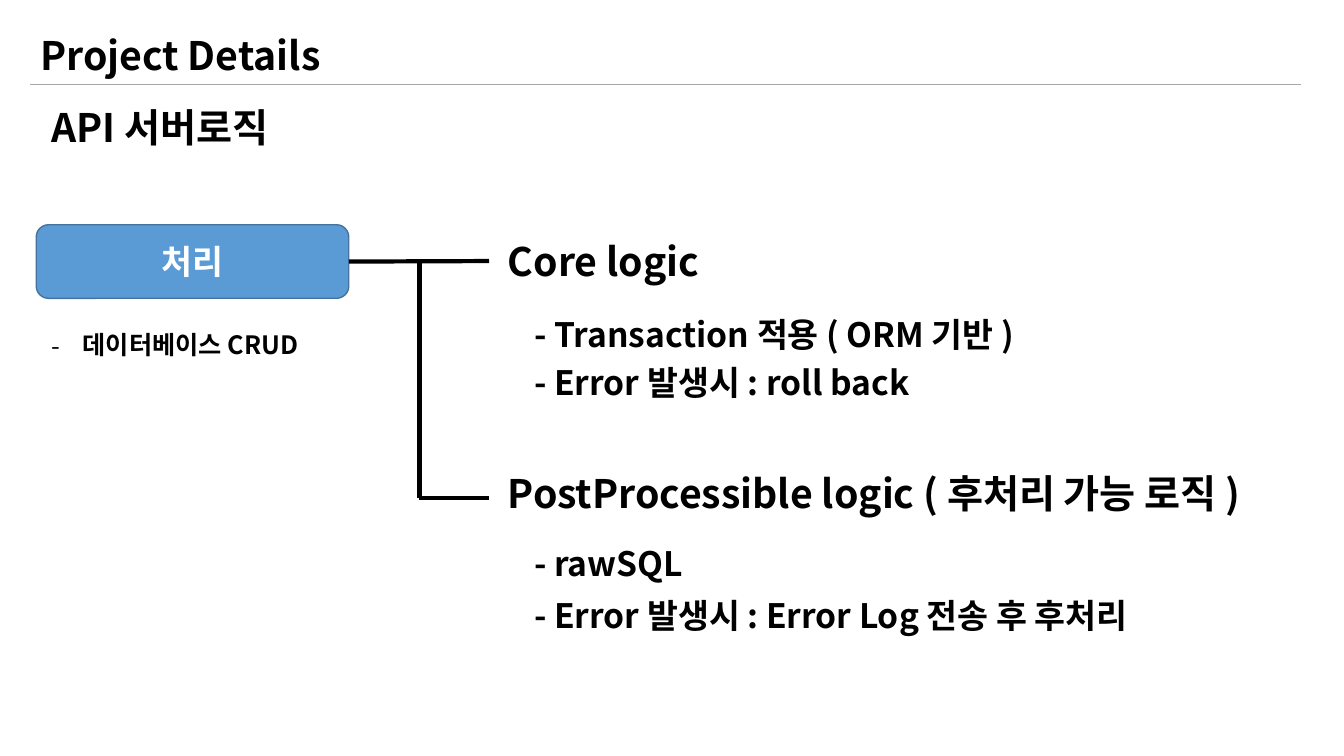
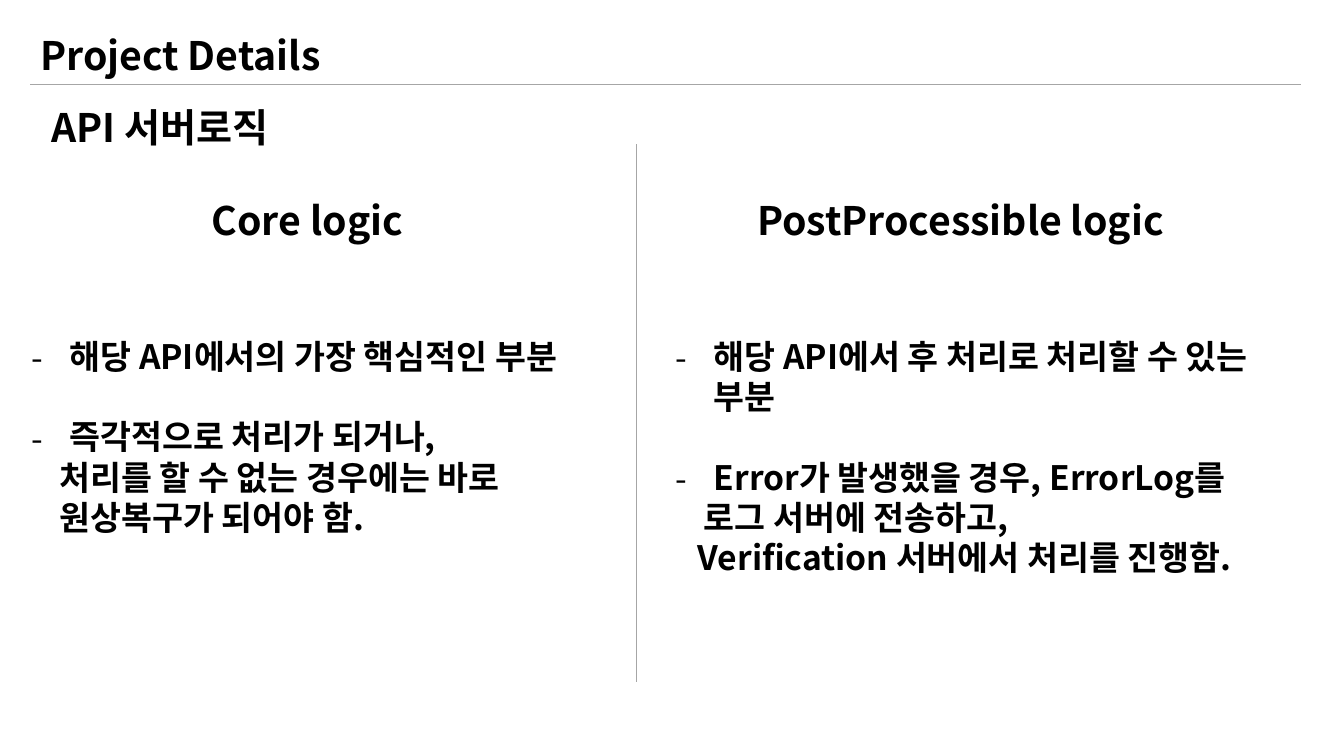
from lxml.etree import SubElement
from pptx import Presentation
from pptx.dml.color import RGBColor
from pptx.enum.shapes import MSO_CONNECTOR as Connector, MSO_SHAPE as Shape
from pptx.enum.text import MSO_ANCHOR as Anchor, MSO_AUTO_SIZE as AutoSize, PP_ALIGN as Align
from pptx.oxml.ns import qn
from pptx.util import Inches, Pt

FONT = "Noto Sans CJK KR"
COLORS = {
    "text": "000000",
    "rule": "A6A6A6",
    "box": "5B9BD5",
    "box_line": "43739E",
    "box_text": "FFFFFF",
}
TITLE_LAYOUT, COMPARISON_LAYOUT = 1, 4
LINE_FACTOR = 1.2


def color(name):
    """Return the named colour."""
    return RGBColor.from_string(COLORS[name])


def place(shape, left, top, width, height):
    """Set position and size of a shape in inches."""
    shape.left, shape.top = Inches(left), Inches(top)
    shape.width, shape.height = Inches(width), Inches(height)


def format_paragraph(paragraph, size, text_color="text", align=Align.LEFT):
    """Give a paragraph the deck's font and line pitch."""
    paragraph.alignment = align
    paragraph.line_spacing = Pt(size * LINE_FACTOR)
    paragraph.space_before = paragraph.space_after = Pt(0)
    for run in paragraph.runs:
        run.font.size = Pt(size)
        run.font.bold = True
        run.font.color.rgb = color(text_color)
        run.font.name = FONT
        SubElement(run.font._element, qn("a:ea"), typeface=FONT)


def set_bullet(paragraph, margin, bulleted):
    """Indent a paragraph and give it a dash or no bullet."""
    properties = paragraph._p.get_or_add_pPr()
    properties.set("marL", str(Inches(margin)))
    properties.set("indent", str(-Inches(margin) if bulleted else 0))
    if bulleted:
        SubElement(properties, qn("a:buFont"), typeface=FONT)
        SubElement(properties, qn("a:buChar"), char="-")
    else:
        SubElement(properties, qn("a:buNone"))


def fill_text(shape, text, size):
    """Write top-anchored plain text into a text box or placeholder."""
    frame = shape.text_frame
    frame.text = text
    frame.word_wrap = True
    frame.auto_size = AutoSize.NONE
    frame.vertical_anchor = Anchor.TOP
    for paragraph in frame.paragraphs:
        format_paragraph(paragraph, size)


def add_label(slide, text, left, top, width, height, size):
    """Add a text box."""
    label = slide.shapes.add_textbox(
        Inches(left), Inches(top), Inches(width), Inches(height))
    fill_text(label, text, size)


def fill_heading(placeholder, text, left, top, width, height):
    """Place a heading without a bullet."""
    place(placeholder, left, top, width, height)
    fill_text(placeholder, text, 28)
    set_bullet(placeholder.text_frame.paragraphs[0], 0, False)


def fill_list(placeholder, items, left, top, width, height, size, margin):
    """Fill a body placeholder with items, each a dashed line and indented follow-ups."""
    place(placeholder, left, top, width, height)
    fill_text(placeholder, "\n".join(line for item in items for line, _ in item), size)
    paragraphs = iter(placeholder.text_frame.paragraphs)
    for item_index, item in enumerate(items):
        for line_index, (_, follow_margin) in enumerate(item):
            paragraph = next(paragraphs)
            first = line_index == 0
            if first and item_index:
                paragraph.space_before = Pt(size * LINE_FACTOR)
            set_bullet(paragraph, margin if first else follow_margin, first)


def add_line(slide, start, end, line_color, width):
    """Add a straight line without a shadow."""
    line = slide.shapes.add_connector(
        Connector.STRAIGHT, *(Inches(value) for value in (*start, *end)))
    line.line.color.rgb = color(line_color)
    line.line.width = Pt(width)
    SubElement(line._element.spPr, qn("a:effectLst"))
    return line


def add_process_box(slide, text, left, top, width, height):
    """Add the blue rounded process box."""
    box = slide.shapes.add_shape(
        Shape.ROUNDED_RECTANGLE, Inches(left), Inches(top), Inches(width), Inches(height))
    box.shadow.inherit = False
    box.fill.solid()
    box.fill.fore_color.rgb = color("box")
    box.line.color.rgb = color("box_line")
    box.line.width = Pt(1)
    box.text_frame.text = text
    box.text_frame.vertical_anchor = Anchor.MIDDLE
    format_paragraph(box.text_frame.paragraphs[0], 24, "box_text", Align.CENTER)
    return box


def add_section_slide(presentation, layout):
    """Add a slide with the shared title, rule and subtitle."""
    slide = presentation.slides.add_slide(presentation.slide_layouts[layout])
    title = slide.shapes.title
    place(title, 0.3, 0.26, 12.98, 0.57)
    fill_text(title, "Project Details", 28)
    add_line(slide, (0.3, 0.84), (12.9, 0.84), "rule", 0.5)
    add_label(slide, "API 서버로직", 0.41, 0.98, 3, 0.58, 28)
    return slide


def build_branches(presentation):
    """Build the slide that splits processing into two kinds of logic."""
    slide = add_section_slide(presentation, TITLE_LAYOUT)
    box = add_process_box(slide, "처리", 0.36, 2.23, 3.1, 0.73)
    fill_list(slide.placeholders[1], [[("데이터베이스 CRUD", 0)]],
              0.41, 3.22, 3.82, 0.4, 18, 0.31)

    trunk, branch_end, core_y, post_y = 4.16, 4.85, 2.59, 4.94
    core_line = add_line(slide, (3.46, core_y), (branch_end, core_y), "text", 3)
    core_line.begin_connect(box, 3)
    add_line(slide, (trunk, post_y), (branch_end, post_y), "text", 3)
    add_line(slide, (trunk, core_y), (trunk, post_y), "text", 3)

    for text, top in (
        ("Core logic", 2.31),
        ("PostProcessible logic ( 후처리 가능 로직 )", 4.61),
    ):
        add_label(slide, text, 4.94, top, 8.34, 0.57, 28)
    for text, top in (
        ("- Transaction 적용 ( ORM 기반 )", 3.07),
        ("- Error 발생시 : roll back", 3.54),
        ("- rawSQL", 5.34),
        ("- Error 발생시 : Error Log 전송 후 후처리", 5.85),
    ):
        add_label(slide, text, 5.2, top, 7.39, 0.5, 24)


def build_comparison(presentation):
    """Build the slide that compares the two kinds of logic."""
    slide = add_section_slide(presentation, COMPARISON_LAYOUT)
    add_line(slide, (6.31, 1.43), (6.31, 6.77), "rule", 0.5)
    core_items = [
        [("해당 API에서의 가장 핵심적인 부분", 0)],
        [("즉각적으로 처리가 되거나,", 0),
         ("처리를 할 수 없는 경우에는 바로", 0.28),
         ("원상복구가 되어야 함.", 0.28)],
    ]
    post_items = [
        [("해당 API에서 후 처리로 처리할 수 있는 부분", 0)],
        [("Error가 발생했을 경우, ErrorLog를", 0),
         ("로그 서버에 전송하고,", 0.28),
         ("Verification 서버에서 처리를 진행함.", 0.22)],
    ]
    columns = (
        ("Core logic", 2, 0.21, core_items),
        ("PostProcessible logic", 7.41, 6.6, post_items),
    )
    for index, (heading, heading_left, list_left, items) in enumerate(columns):
        heading_id = 1 + 2 * index
        fill_heading(slide.placeholders[heading_id], heading, heading_left, 1.9, 4.57, 0.57)
        fill_list(slide.placeholders[heading_id + 1], items,
                  list_left, 3.28, 6, 2.52, 24, 0.38)


def main():
    """Build and save the presentation."""
    presentation = Presentation()
    presentation.slide_width, presentation.slide_height = Inches(13.33), Inches(7.5)
    build_branches(presentation)
    build_comparison(presentation)
    presentation.save("out.pptx")


if __name__ == "__main__":
    main()
